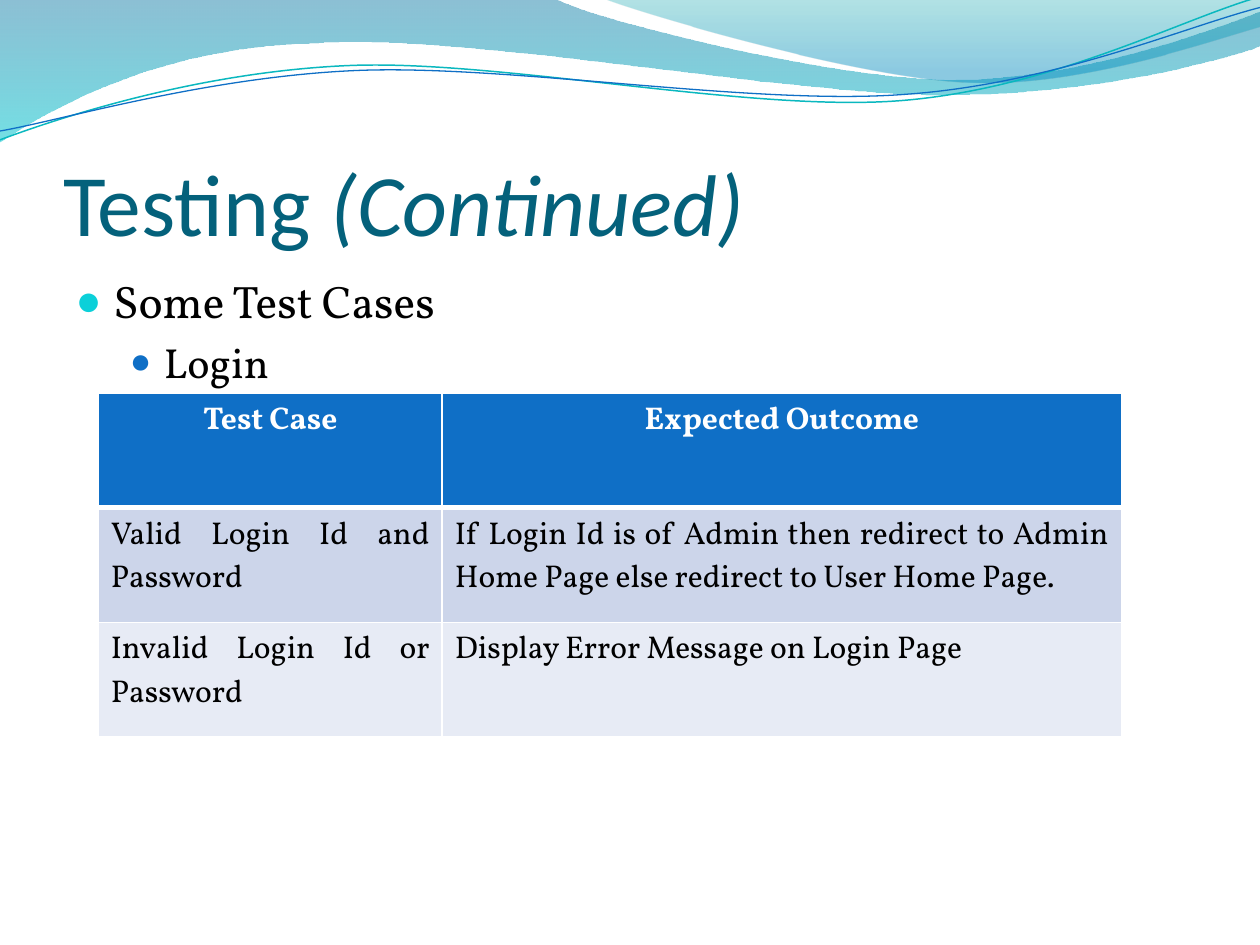
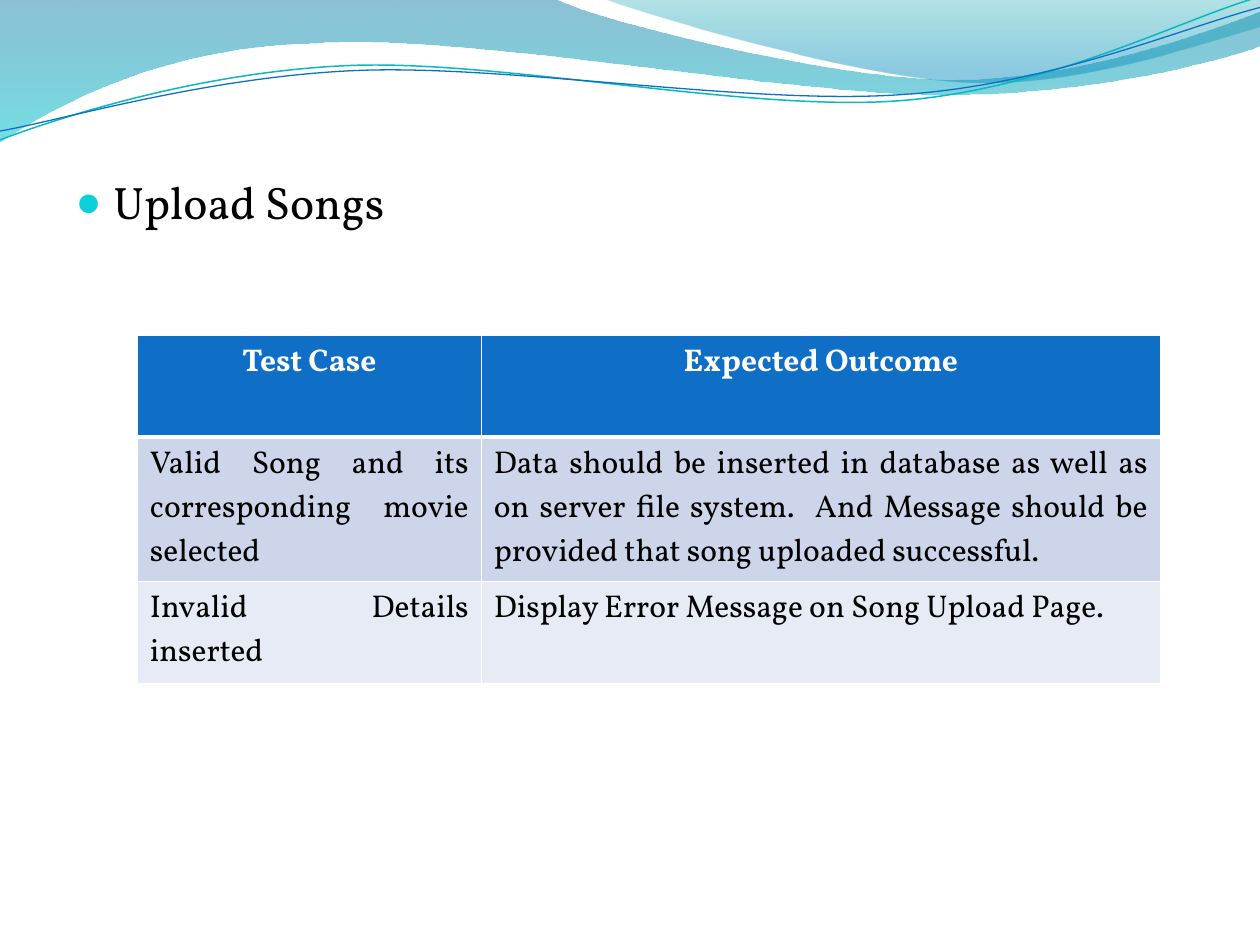
from dataclasses import dataclass
from math import cos, radians, sin

from lxml import etree
from pptx import Presentation
from pptx.dml.color import RGBColor
from pptx.enum.text import MSO_ANCHOR, MSO_AUTO_SIZE, PP_ALIGN
from pptx.oxml.ns import qn
from pptx.util import Inches, Pt

LEFT, CENTER, JUSTIFY = PP_ALIGN.LEFT, PP_ALIGN.CENTER, PP_ALIGN.JUSTIFY
BOTTOM, NO_FIT = MSO_ANCHOR.BOTTOM, MSO_AUTO_SIZE.NONE
BLACK, WHITE = "000000", "FFFFFF"
BLUE, TEAL, CYAN, TITLE_COLOR = "0F6FC6", "0AB8BF", "0BD0D9", "04617B"
ROW_FILLS = [BLUE, "CCD5EA", "E7EBF5"]
TITLE_FONT, BODY_FONT = "Calibri", "Vollkorn"
COLUMN_WIDTHS = [2.73, 5.39]
HEADER = ("Test Case", "Expected Outcome")
LINE_TILT = -2.7

Point = tuple[float, float]


@dataclass
class Stop:
    position: float
    color: str
    alpha: int


@dataclass
class Wave:
    """Segments hold the points after the current one: one for a line, three for a curve."""
    start: Point
    segments: list[tuple[Point, ...]]
    stops: tuple[Stop, ...] = ()
    line: str = ""
    width: float = 0
    tilt: float = 0
    center: Point = (0, 0)


@dataclass
class Bullet:
    text: str
    level: int = 0


@dataclass
class BulletStyle:
    margin: float
    hanging: float
    color: str
    percent: int
    size: int


@dataclass
class TestSlide:
    title: list[tuple[str, bool]]
    bullets: list[Bullet]
    body_top: float
    body_height: float
    table_left: float
    table_top: float
    row_heights: list[float]
    cases: list[tuple[str, str]]


BULLET_STYLES = [
    BulletStyle(0.3, 0.3, CYAN, 95, 26),
    BulletStyle(0.7, 0.27, BLUE, 85, 24),
]

WAVES = [
    Wave((0, 0), [
        ((4.4, -0.01),),
        ((4.76, 0.17), (6.64, 0.63), (7.58, 0.63)),
        ((8.53, 0.63), (9.58, 0.26), (10, 0.09)),
        ((10.01, 0.36),),
        ((9.83, 0.44), (8.7, 0.76), (7.46, 0.75)),
        ((6.22, 0.75), (3.82, 0.28), (2.57, 0.34)),
        ((1.29, 0.36), (0.46, 0.83), (-0.01, 1.13)),
        ((0, 0),),
    ], stops=(Stop(0, "0074A1", 45), Stop(1, "00C6CF", 55))),
    Wave((4.79, -0.01), [
        ((5.09, 0.11), (6.82, 0.62), (7.69, 0.65)),
        ((8.56, 0.69), (9.61, 0.32), (10, 0.21)),
        ((10, 0),),
        ((4.79, -0.01),),
    ], stops=(Stop(0, "00A1A9", 30), Stop(0.8, "008BBF", 45))),
    Wave((0, 1.11), [
        ((0.48, 0.93), (1.58, 0.57), (2.77, 0.52)),
        ((3.95, 0.47), (5.93, 0.89), (7.13, 0.8)),
        ((8.33, 0.71), (9.38, 0.15), (9.98, -0.02)),
    ], line=TEAL, width=0.85, tilt=LINE_TILT, center=(4.99, 0.58)),
    Wave((0, 1.04), [
        ((0.47, 0.96), (1.64, 0.61), (2.83, 0.56)),
        ((4.03, 0.51), (5.97, 0.84), (7.17, 0.75)),
        ((8.36, 0.67), (9.41, 0.21), (10, 0.06)),
    ], line=BLUE, width=0.75, tilt=LINE_TILT, center=(5, 0.59)),
]

SLIDES = [
    TestSlide(
        [("Testing ", False), ("(Continued)", True)],
        [Bullet("Some Test Cases"), Bullet("Login", 1)],
        2.12, 4.8, 0.78, 3.12, [0.91, 0.91, 0.91],
        [("Valid Login Id and Password",
          "If Login Id is of Admin then redirect to Admin Home Page "
          "else redirect to User Home Page."),
         ("Invalid Login Id or Password", "Display Error Message on Login Page")],
    ),
    TestSlide(
        [], [Bullet("Upload Songs")],
        1.33, 5.59, 1.09, 2.66, [0.81, 0.89, 0.81],
        [("Valid Song and its corresponding movie selected",
          "Data should be inserted in database as well as on server file system.  "
          "And Message should be provided that song uploaded successful."),
         ("Invalid Details inserted", "Display Error Message on Song Upload Page.")],
    ),
]


def rgb(value: str) -> RGBColor:
    return RGBColor.from_string(value)


def set_attrs(target, **values) -> None:
    for name, value in values.items():
        setattr(target, name, value)


def set_font(font, name: str, size: float, color: str, **extra) -> None:
    set_attrs(font, name=name, size=Pt(size), **extra)
    font.color.rgb = rgb(color)


def place(sp, left: float, top: float, width: float, height: float) -> None:
    set_attrs(sp, left=Inches(left), top=Inches(top),
              width=Inches(width), height=Inches(height))


def untilted(wave: Wave, point: Point) -> tuple[int, int]:
    """Position of a point before the shape's rotation is applied."""
    angle = radians(-wave.tilt)
    cx, cy = wave.center
    dx, dy = point[0] - cx, point[1] - cy
    return (Inches(cx + dx * cos(angle) - dy * sin(angle)),
            Inches(cy + dx * sin(angle) + dy * cos(angle)))


def curve_segments(sp, wave: Wave) -> None:
    """Gather each three line points of a curved segment into one cubic Bézier."""
    lines = iter(list(sp._element.iter(qn("a:lnTo"))))
    for segment in wave.segments:
        group = [next(lines) for _ in segment]
        if len(group) == 3:
            curve = etree.Element(qn("a:cubicBezTo"))
            group[0].addprevious(curve)
            for line in group:
                curve.append(line[0])
                line.getparent().remove(line)


def add_wave(slide, wave: Wave):
    builder = slide.shapes.build_freeform(*untilted(wave, wave.start))
    points = [untilted(wave, point) for segment in wave.segments for point in segment]
    builder.add_line_segments(points, close=bool(wave.stops))
    sp = builder.convert_to_shape()
    curve_segments(sp, wave)
    sp.rotation = wave.tilt
    sp.shadow.inherit = False
    if wave.stops:
        sp.line.fill.background()
        sp.fill.gradient()
        sp.fill.gradient_angle = 270
        for target, stop in zip(sp.fill.gradient_stops, wave.stops):
            target.position = stop.position
            target.color.rgb = rgb(stop.color)
        for clr, stop in zip(sp._element.spPr.iter(qn("a:srgbClr")), wave.stops):
            etree.SubElement(clr, qn("a:alpha"), val=str(stop.alpha * 1000))
    else:
        sp.fill.background()
        sp.line.color.rgb = rgb(wave.line)
        sp.line.width = Pt(wave.width)
    return sp


def move_waves_to_master(prs, slide) -> None:
    """Build the waves on a slide, then put them behind everything on the master."""
    tree = prs.slide_master.shapes._spTree
    for i, wave in enumerate(WAVES):
        el = add_wave(slide, wave)._element
        el.nvSpPr.cNvPr.set("id", str(101 + i))
        tree.insert(2 + i, el)


def fill_title(sp, runs: list[tuple[str, bool]]) -> None:
    if not runs:
        sp._element.getparent().remove(sp._element)
        return
    place(sp, 0.5, 0.77, 9, 1.25)
    tf = sp.text_frame
    set_attrs(tf, vertical_anchor=BOTTOM, auto_size=NO_FIT, margin_left=0,
              margin_top=Inches(0.05), margin_right=0, margin_bottom=0)
    p = tf.paragraphs[0]
    p.alignment = LEFT
    for text, italic in runs:
        r = p.add_run()
        r.text = text
        set_font(r.font, TITLE_FONT, 50, TITLE_COLOR, italic=italic)


def fill_body(sp, bullets: list[Bullet], top: float, height: float) -> None:
    place(sp, 0.5, top, 9, height)
    tf = sp.text_frame
    tf.auto_size = NO_FIT
    for i, bullet in enumerate(bullets):
        style = BULLET_STYLES[bullet.level]
        p = tf.add_paragraph() if i else tf.paragraphs[0]
        p.level = bullet.level
        if i == 0:
            p.space_before = Pt(0)
        pPr = p._p.get_or_add_pPr()
        pPr.set("marL", str(Inches(style.margin)))
        pPr.set("indent", str(-Inches(style.hanging)))
        clr = etree.SubElement(pPr, qn("a:buClr"))
        etree.SubElement(clr, qn("a:srgbClr"), val=style.color)
        etree.SubElement(pPr, qn("a:buSzPct"), val=str(style.percent * 1000))
        etree.SubElement(pPr, qn("a:buChar"), char="●")
        r = p.add_run()
        r.text = bullet.text
        set_font(r.font, BODY_FONT, style.size, BLACK)


def add_borders(cell, row: int) -> None:
    """White rules, thicker between the header and the first case."""
    widths = {"lnL": 1, "lnR": 1, "lnT": 3 if row == 1 else 1, "lnB": 3 if row == 0 else 1}
    tcPr = cell._tc.get_or_add_tcPr()
    for side, width in widths.items():
        ln = etree.SubElement(tcPr, qn(f"a:{side}"), w=str(Pt(width)))
        fill = etree.SubElement(ln, qn("a:solidFill"))
        etree.SubElement(fill, qn("a:srgbClr"), val=WHITE)


def add_case_table(slide, content: TestSlide) -> None:
    rows = [HEADER, *content.cases]
    frame = slide.shapes.add_table(
        len(rows), len(HEADER), Inches(content.table_left), Inches(content.table_top),
        Inches(sum(COLUMN_WIDTHS)), Inches(sum(content.row_heights)))
    table = frame.table
    for column, width in zip(table.columns, COLUMN_WIDTHS):
        column.width = Inches(width)
    for i, (texts, height) in enumerate(zip(rows, content.row_heights)):
        table.rows[i].height = Inches(height)
        header = i == 0
        for j, text in enumerate(texts):
            cell = table.cell(i, j)
            add_borders(cell, i)
            cell.fill.solid()
            cell.fill.fore_color.rgb = rgb(ROW_FILLS[i])
            p = cell.text_frame.paragraphs[0]
            p.alignment = CENTER if header else JUSTIFY
            r = p.add_run()
            r.text = text
            set_font(r.font, BODY_FONT, 18, WHITE if header else BLACK, bold=header)


def main() -> None:
    prs = Presentation()
    set_attrs(prs, slide_width=Inches(10), slide_height=Inches(7.5))
    for i, content in enumerate(SLIDES):
        slide = prs.slides.add_slide(prs.slide_layouts[1])
        if i == 0:
            move_waves_to_master(prs, slide)
        title, body = slide.placeholders
        fill_title(title, content.title)
        fill_body(body, content.bullets, content.body_top, content.body_height)
        add_case_table(slide, content)
    prs.save("out.pptx")


if __name__ == "__main__":
    main()
